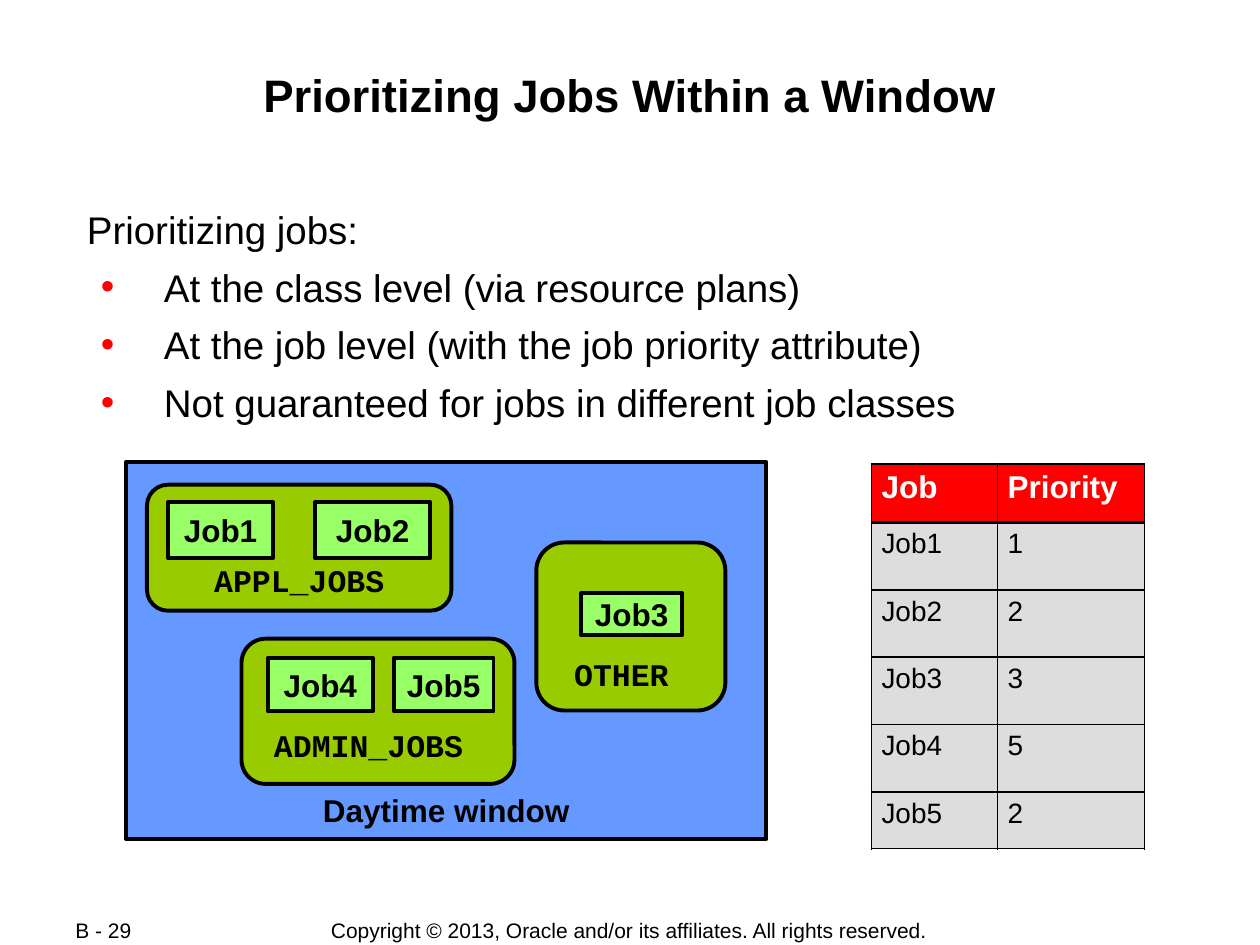
from dataclasses import dataclass

from lxml.etree import SubElement
from pptx import Presentation
from pptx.dml.color import RGBColor
from pptx.enum.shapes import MSO_SHAPE as SHAPE
from pptx.enum.text import MSO_ANCHOR as ANCHOR, MSO_AUTO_SIZE as AUTOSIZE, PP_ALIGN as ALIGN
from pptx.oxml.ns import qn
from pptx.util import Pt

COLORS = {
    "black": "000000",
    "white": "FFFFFF",
    "red": "FF0000",
    "window": "6699FF",
    "job_class": "99CC00",
    "job": "99FF66",
    "cell": "DDDDDD",
}
SANS, MONO = "Arial", "Courier New"


@dataclass
class Box:
    text: str
    x: float
    y: float
    w: float
    h: float


@dataclass
class JobClass:
    box: Box
    bottom: float
    right: float
    jobs: list[Box]


WINDOW = Box("Daytime window", 72, 264, 366, 215.5)
CLASSES = [
    JobClass(Box("APPL_JOBS", 84, 277, 174, 72), 3.2, 3.6,
             [Box("Job1", 96, 287, 60, 32), Box("Job2", 180, 287, 66, 32)]),
    JobClass(Box("ADMIN_JOBS", 138, 365, 156, 83), 7.6, 14.4,
             [Box("Job4", 153, 376, 60, 30.5), Box("Job5", 225, 376, 57, 30.5)]),
    JobClass(Box("OTHER", 306.5, 310, 108, 96), 5.3, 14.4,
             [Box("Job3", 332, 339, 58, 24)]),
]
ROWS = [("Job", "Priority"), ("Job1", "1"), ("Job2", "2"),
        ("Job3", "3"), ("Job4", "5"), ("Job5", "2")]
ROW_HEIGHTS = [33.5] + [38.5] * 4 + [32.5]
COL_WIDTHS = [72, 84]
BULLETS = [
    "At the class level (via resource plans)",
    "At the job level (with the job priority attribute)",
    "Not guaranteed for jobs in different job classes",
]


def rgb(name: str) -> RGBColor:
    return RGBColor.from_string(COLORS[name])


def write(p, text: str, *, size: float, font: str = SANS, color: str = "black",
          bold: bool = False, align=ALIGN.LEFT, before: float = 0) -> None:
    p.alignment = align
    p.space_before = Pt(before)
    r = p.add_run()
    r.text = text
    r.font.name = font
    r.font.size = Pt(size)
    r.font.bold = bold
    r.font.color.rgb = rgb(color)


def set_frame(tf, anchor, left: float, top: float, right: float, bottom: float,
              wrap: bool = True) -> None:
    tf.auto_size = AUTOSIZE.NONE
    tf.word_wrap = wrap
    tf.vertical_anchor = anchor
    tf.margin_left, tf.margin_top = Pt(left), Pt(top)
    tf.margin_right, tf.margin_bottom = Pt(right), Pt(bottom)


def place(sp, x: float, y: float, w: float, h: float) -> None:
    sp.left, sp.top, sp.width, sp.height = Pt(x), Pt(y), Pt(w), Pt(h)


def set_bullet(p, char: str | None, left: float, indent: float) -> None:
    pPr = p._p.get_or_add_pPr()
    pPr.set("marL", str(Pt(left)))
    pPr.set("indent", str(Pt(indent)))
    if char is None:
        SubElement(pPr, qn("a:buNone"))
        return
    clr = SubElement(pPr, qn("a:buClr"))
    SubElement(clr, qn("a:srgbClr"), val=COLORS["red"])
    SubElement(pPr, qn("a:buFont"), typeface=SANS)
    SubElement(pPr, qn("a:buChar"), char=char)


def draw_box(shapes, box: Box, fill: str, *, kind=SHAPE.RECTANGLE, font: str = SANS,
             anchor=ANCHOR.MIDDLE, right: float = 3.6, bottom: float = 3.6) -> None:
    sp = shapes.add_shape(kind, Pt(box.x), Pt(box.y), Pt(box.w), Pt(box.h))
    sp.shadow.inherit = False
    sp.fill.solid()
    sp.fill.fore_color.rgb = rgb(fill)
    sp.line.color.rgb = rgb("black")
    sp.line.width = Pt(2.25)
    set_frame(sp.text_frame, anchor, 3.6, 3.6, right, bottom)
    write(sp.text_frame.paragraphs[0], box.text, size=18, font=font, bold=True,
          align=ALIGN.CENTER)


def draw_class(shapes, job_class: JobClass) -> None:
    draw_box(shapes, job_class.box, "job_class", kind=SHAPE.ROUNDED_RECTANGLE, font=MONO,
             anchor=ANCHOR.BOTTOM, right=job_class.right, bottom=job_class.bottom)
    for job in job_class.jobs:
        draw_box(shapes, job, "job")


def set_borders(cell, top: float, bottom: float) -> None:
    tcPr = cell._tc.get_or_add_tcPr()
    for side, width in (("L", 1.08), ("R", 1.08), ("T", top), ("B", bottom)):
        ln = SubElement(tcPr, qn(f"a:ln{side}"), w=str(Pt(width)))
        fill = SubElement(ln, qn("a:solidFill"))
        SubElement(fill, qn("a:srgbClr"), val=COLORS["black"])


def draw_table(shapes, x: float, y: float) -> None:
    table = shapes.add_table(len(ROWS), len(COL_WIDTHS), Pt(x), Pt(y),
                             Pt(sum(COL_WIDTHS)), Pt(sum(ROW_HEIGHTS))).table
    table.horz_banding = False
    for col, width in zip(table.columns, COL_WIDTHS):
        col.width = Pt(width)
    for i, (row, height, texts) in enumerate(zip(table.rows, ROW_HEIGHTS, ROWS)):
        row.height = Pt(height)
        head = i == 0
        for cell, text in zip(row.cells, texts):
            set_borders(cell, 2.21 if i == 1 else 1.08, 2.21 if head else 1.08)
            cell.fill.solid()
            cell.fill.fore_color.rgb = rgb("red" if head else "cell")
            cell.margin_left = cell.margin_right = Pt(5.76)
            cell.margin_top = cell.margin_bottom = Pt(3.6)
            write(cell.text_frame.paragraphs[0], text, size=18 if head else 16,
                  color="white" if head else "black", bold=head)


def draw_footer(shapes, box: Box, align) -> None:
    sp = shapes.add_textbox(Pt(box.x), Pt(box.y), Pt(box.w), Pt(box.h))
    set_frame(sp.text_frame, ANCHOR.MIDDLE, 7.2, 0, 0 if align == ALIGN.LEFT else 7.2, 0,
              wrap=False)
    write(sp.text_frame.paragraphs[0], box.text, size=12, align=align)


def main() -> None:
    prs = Presentation()
    prs.slide_width, prs.slide_height = Pt(720), Pt(540)
    s = prs.slides.add_slide(prs.slide_layouts[1])
    title, body = s.placeholders[0], s.placeholders[1]

    place(title, 48, 34.5, 624, 69)
    set_frame(title.text_frame, ANCHOR.TOP, 0.72, 4, 0.72, 0.72)
    write(title.text_frame.paragraphs[0], "Prioritizing Jobs Within a Window",
          size=26, bold=True, align=ALIGN.CENTER)

    place(body, 48, 114, 624, 124)
    tf = body.text_frame
    set_frame(tf, ANCHOR.TOP, 0.72, 3.5, 0.72, 0.72)
    p = tf.paragraphs[0]
    set_bullet(p, None, 1, 0)
    write(p, "Prioritizing jobs:", size=22)
    for text in BULLETS:
        p = tf.add_paragraph()
        p.level = 1
        set_bullet(p, "•", 45, -36)
        write(p, text, size=22, before=6.7)

    group = s.shapes.add_group_shape()
    draw_box(group.shapes, WINDOW, "window", anchor=ANCHOR.BOTTOM, bottom=6)
    for job_class in CLASSES:
        draw_class(group.shapes, job_class)

    draw_table(s.shapes, 498, 265)

    draw_footer(s.shapes, Box("Copyright © 2013, Oracle and/or its affiliates. All rights reserved.",
                              198, 524, 323, 15), ALIGN.CENTER)
    draw_footer(s.shapes, Box("B - 29", 36, 524, 76, 15), ALIGN.LEFT)
    prs.save("out.pptx")


if __name__ == "__main__":
    main()
